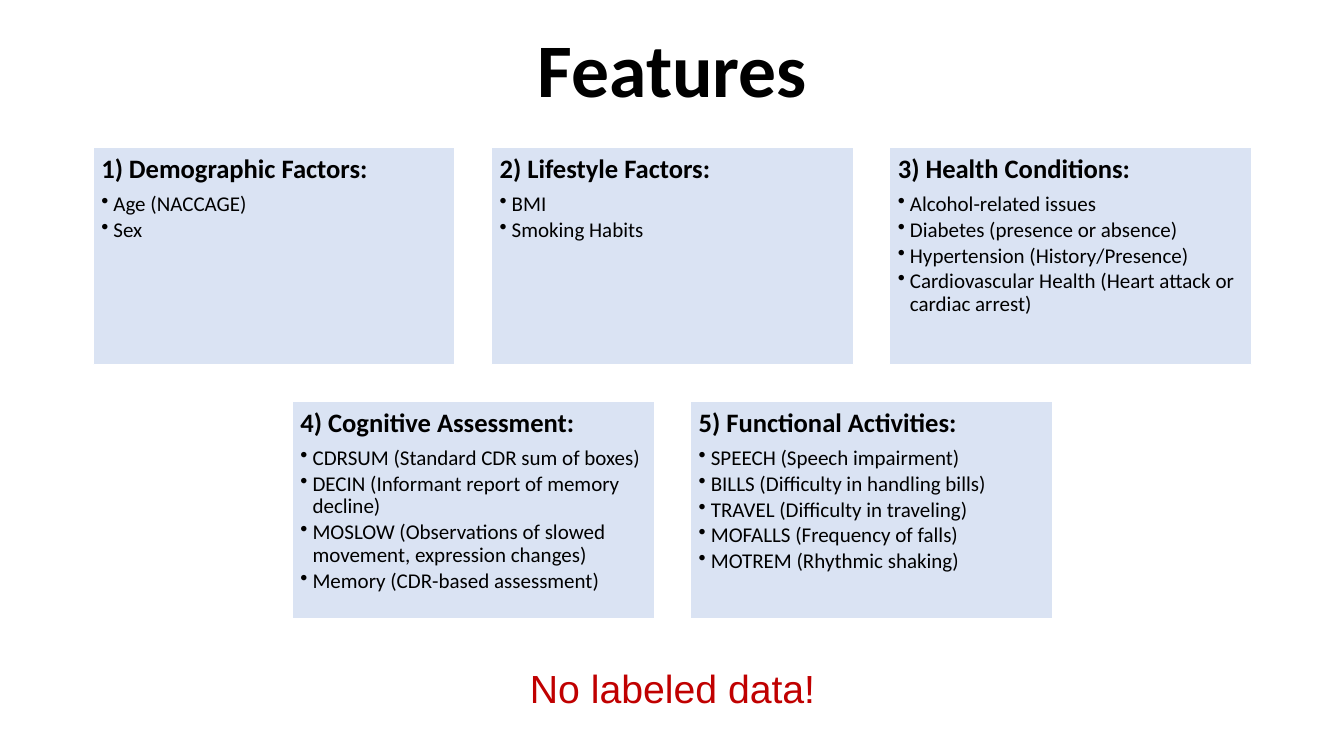
from lxml.etree import SubElement
from pptx import Presentation
from pptx.dml.color import RGBColor
from pptx.enum.shapes import MSO_SHAPE as Shape
from pptx.enum.text import MSO_ANCHOR as Anchor, MSO_AUTO_SIZE as AutoSize, PP_ALIGN as Align
from pptx.oxml.ns import qn
from pptx.util import Inches, Pt

FEATURES = [
    ("1) Demographic Factors:", ["Age (NACCAGE)", "Sex"]),
    ("2) Lifestyle Factors:", ["BMI", "Smoking Habits"]),
    ("3) Health Conditions:", [
        "Alcohol-related issues",
        "Diabetes (presence or absence)",
        "Hypertension (History/Presence)",
        "Cardiovascular Health (Heart attack or cardiac arrest)",
    ]),
    ("4) Cognitive Assessment:", [
        "CDRSUM (Standard CDR sum of boxes)",
        "DECIN (Informant report of memory decline)",
        "MOSLOW (Observations of slowed movement, expression changes)",
        "Memory (CDR-based assessment)",
    ]),
    ("5) Functional Activities:", [
        "SPEECH (Speech impairment)",
        "BILLS (Difficulty in handling bills)",
        "TRAVEL (Difficulty in traveling)",
        "MOFALLS (Frequency of falls)",
        "MOTREM (Rhythmic shaking)",
    ]),
]

# Layout in inches
MARGIN, CONTENT_WIDTH, BAND_HEIGHT = 0.92, 11.5, 1.45
CARD_WIDTH, CARD_HEIGHT, GAP = 3.59, 2.16, 0.36
CARDS_TOP, COLUMNS = 1.46, 3


def color(hex_code):
    return RGBColor.from_string(hex_code)


class FeatureSlide:
    font = "Calibri"
    ink = "000000"
    card_fill = "DAE3F3"
    card_line = "FFFFFF"
    alert = "C00000"

    def __init__(self, deck):
        self.page = deck.slides.add_slide(deck.slide_layouts[5])

    def style(self, para, size, bold=False, font=None, ink=None, align=Align.LEFT):
        para.alignment = align
        para.line_spacing = 0.9
        for span in para.runs:
            span.font.name = font or self.font
            span.font.size = Pt(size)
            span.font.bold = bold
            span.font.color.rgb = color(ink or self.ink)

    def place_band(self, box, top, text, size, **look):
        """Fill a full-width band with one centred line."""
        box.left, box.top = Inches(MARGIN), Inches(top)
        box.width, box.height = Inches(CONTENT_WIDTH), Inches(BAND_HEIGHT)
        frame = box.text_frame
        frame.word_wrap = True
        frame.auto_size = AutoSize.NONE
        frame.vertical_anchor = Anchor.MIDDLE
        frame.text = text
        self.style(frame.paragraphs[0], size, align=Align.CENTER, **look)

    def title(self, text):
        self.place_band(self.page.shapes.title, 0, text, 54, bold=True)

    def remark(self, top, text):
        box = self.page.shapes.add_textbox(0, 0, 0, 0)
        self.place_band(box, top, text, 28, font="Arial", ink=self.alert)

    def bullet(self, para):
        props = para._p.get_or_add_pPr()
        props.set("marL", str(Inches(0.12)))
        props.set("indent", str(Inches(-0.12)))
        SubElement(props, qn("a:buChar")).set("char", "•")

    def card(self, left, top, heading, items):
        box = self.page.shapes.add_shape(
            Shape.RECTANGLE, Inches(left), Inches(top), Inches(CARD_WIDTH), Inches(CARD_HEIGHT))
        box.shadow.inherit = False
        box.fill.solid()
        box.fill.fore_color.rgb = color(self.card_fill)
        box.line.color.rgb = color(self.card_line)
        box.line.width = Pt(1)

        frame = box.text_frame
        frame.word_wrap = True
        frame.vertical_anchor = Anchor.TOP
        frame.margin_left = frame.margin_right = Inches(0.08)
        frame.margin_top = frame.margin_bottom = Inches(0.08)

        para = frame.paragraphs[0]
        para.text = heading
        self.style(para, 19, bold=True)
        para.space_after = Pt(6.65)
        for item in items:
            para = frame.add_paragraph()
            para.text = item
            para.level = 1
            self.style(para, 15)
            para.space_after = Pt(2.25)
            self.bullet(para)

    def card_grid(self, cards):
        """Set the cards in rows, each row centred on the content."""
        for start in range(0, len(cards), COLUMNS):
            row = cards[start:start + COLUMNS]
            row_width = len(row) * (CARD_WIDTH + GAP) - GAP
            left = MARGIN + (CONTENT_WIDTH - row_width) / 2
            # The gap between rows is slightly smaller than a full text line
            top = CARDS_TOP + start // COLUMNS * (CARD_HEIGHT + GAP)
            for column, (heading, items) in enumerate(row):
                self.card(left + column * (CARD_WIDTH + GAP), top, heading, items)


def main():
    deck = Presentation()
    deck.slide_width, deck.slide_height = Inches(13.33), Inches(7.5)
    slide = FeatureSlide(deck)

    # Title
    slide.title("Features")
    # Feature groups
    slide.card_grid(FEATURES)
    # Closing remark
    slide.remark(6.13, "No labeled data!")

    deck.save("out.pptx")


if __name__ == "__main__":
    main()
